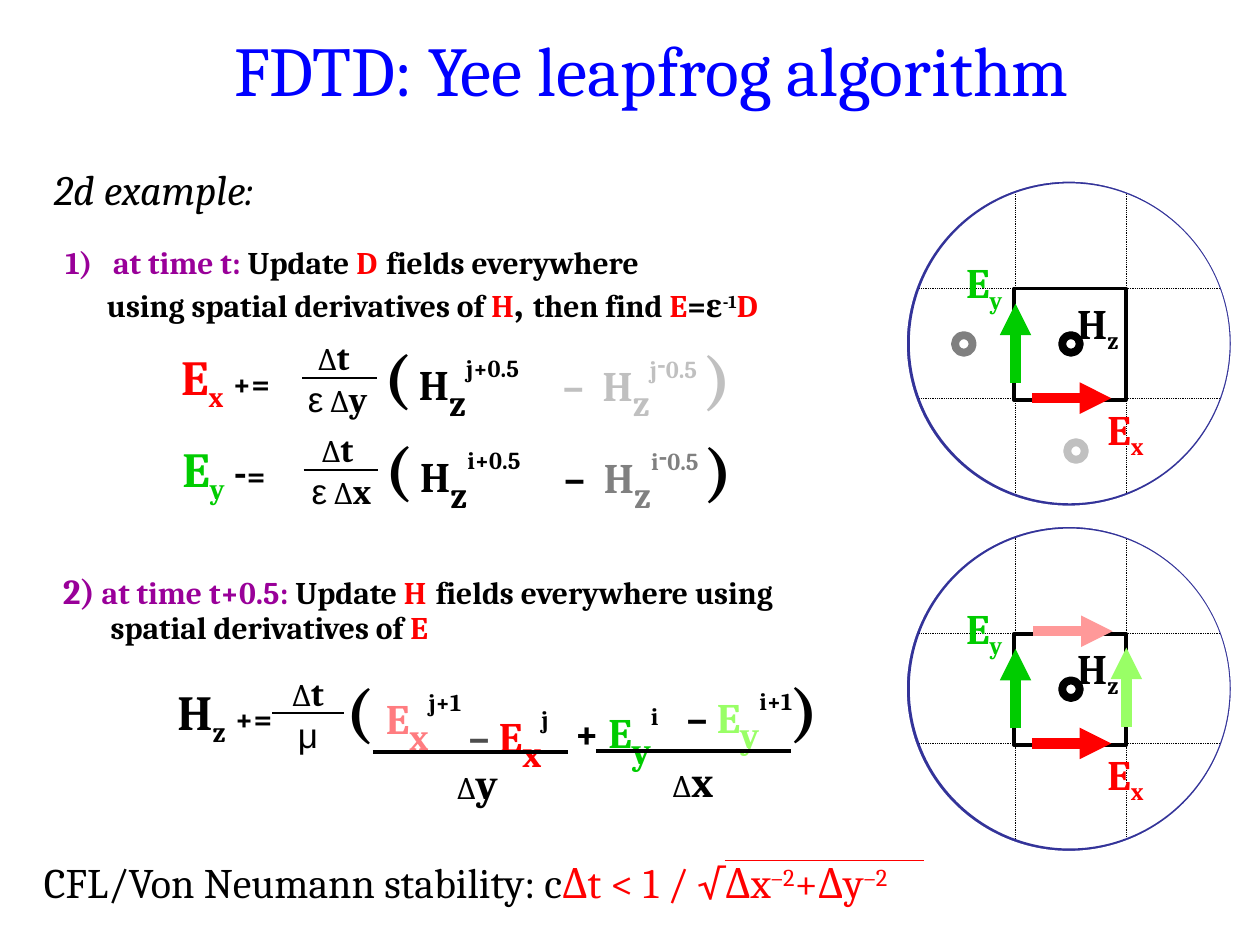
from lxml.etree import SubElement
from pptx import Presentation
from pptx.dml.color import RGBColor
from pptx.enum.dml import MSO_LINE
from pptx.enum.shapes import MSO_CONNECTOR, MSO_SHAPE
from pptx.enum.text import MSO_ANCHOR, MSO_AUTO_SIZE, PP_ALIGN
from pptx.oxml.ns import qn
from pptx.oxml.xmlchemy import OxmlElement
from pptx.util import Inches, Pt

BLACK, RED, GREEN, PURPLE = "000000", "FF0000", "00CC00", "990099"
SILVER, GRAY = "C0C0C0", "808080"
SUB, SUP, HIGH = -25, 30, 55

deck = Presentation()
deck.slide_width, deck.slide_height = Inches(10), Inches(7.5)
CELL = deck.slide_width / 100
page = deck.slides.add_slide(deck.slide_layouts[6])
color = RGBColor.from_string


def write(column, row, columns, rows, *paragraphs, bold=True, align=PP_ALIGN.LEFT, wrap=False):
    box = page.shapes.add_textbox(*(int(n * CELL) for n in (column, row, columns, rows)))
    frame = box.text_frame
    frame.word_wrap = wrap
    frame.auto_size = MSO_AUTO_SIZE.SHAPE_TO_FIT_TEXT
    for index, spans in enumerate(paragraphs):
        para = frame.add_paragraph() if index else frame.paragraphs[0]
        para.alignment = align
        base_size, base_hex = spans[0][1:3]
        para.font.name, para.font.bold = "Cambria", bold
        para.font.size = Pt(base_size)
        para.font.color.rgb = color(base_hex)
        for text, size, hex_code, *shift in spans:
            span = para.add_run()
            span.text = text
            if size != base_size:
                span.font.size = Pt(size)
            if hex_code != base_hex:
                span.font.color.rgb = color(hex_code)
            if shift:
                span._r.get_or_add_rPr().set("baseline", str(shift[0] * 1000))
    return frame


def rule(column, row, end_column, end_row, hex_code, width, dotted=False, arrow=False):
    ends = (int(n * CELL) for n in (column, row, end_column, end_row))
    line = page.shapes.add_connector(MSO_CONNECTOR.STRAIGHT, *ends)
    line.line.color.rgb = color(hex_code)
    line.line.width = Pt(width)
    if dotted:
        line.line.dash_style = MSO_LINE.ROUND_DOT
    if arrow:
        SubElement(line.line._get_or_add_ln(), qn("a:tailEnd"), type="triangle")
    SubElement(line._element.spPr, qn("a:effectLst"))


title = write(9.2, 1.7, 85, 7.5, [("FDTD: Yee leapfrog algorithm", 40, "0000FF")],
              bold=False, align=PP_ALIGN.CENTER, wrap=True)
title.auto_size = MSO_AUTO_SIZE.NONE
title.vertical_anchor = MSO_ANCHOR.MIDDLE
example = write(3.3, 12.5, 18.4, 5, [("2d example:", 24, BLACK)], bold=False)
example.paragraphs[0].font.italic = True

first_step = write(
    4.2, 18, 66.7, 8.6,
    [("at time t: ", 18, PURPLE), ("Update ", 18, BLACK), ("D", 18, RED),
     (" ", 24, BLACK), ("fields everywhere", 18, BLACK)],
    [("using spatial derivatives of ", 18, BLACK), ("H", 18, RED), (", ", 24, BLACK),
     ("then find ", 18, BLACK), ("E", 18, RED), ("=ε", 18, BLACK),
     ("-1", 18, BLACK, SUP), ("D", 18, RED)],
    wrap=True)
second_step = write(
    4, 44.8, 61, 7.1,
    [("2)", 20, PURPLE), (" at time t+0.5: ", 18, PURPLE), ("Update ", 18, BLACK),
     ("H", 18, RED), (" ", 24, BLACK),
     ("fields everywhere using spatial derivatives of ", 18, BLACK), ("E", 18, RED)],
    wrap=True)
for para, margin, indent in ((first_step.paragraphs[0], 3.8, -3.8),
                             (first_step.paragraphs[1], 3.3, 0),
                             (second_step.paragraphs[0], 3.8, -3.8)):
    properties = para._p.get_or_add_pPr()
    properties.set("marL", str(int(margin * CELL)))
    properties.set("indent", str(int(indent * CELL)))
number = OxmlElement("a:buAutoNum")
number.set("type", "arabicParenR")
first_step.paragraphs[0]._p.pPr.insert(0, number)
first_step.paragraphs[1].line_spacing = 0.85
second_step.paragraphs[0].line_spacing = 0.85

updates = [
    (27, 0, "x", RED, [(" ", 24, BLACK), ("+=", 18, BLACK)], "j", SILVER, SILVER),
    (34.3, 0.1, "y", GREEN, [(" -", 24, BLACK), ("=", 18, BLACK)], "i", GRAY, BLACK),
]
for row, nudge, axis, field_hex, operator, index, old_hex, sign_hex in updates:
    write(13.4 + nudge, row, 9.6, 5.7,
          [("E", 28, field_hex), (axis, 28, field_hex, SUB), *operator])
    write(29.5 + nudge, row - 0.7, 13.4, 7,
          [("(", 36, BLACK), (" H", 24, BLACK), ("z", 36, BLACK, SUB),
           (f"{index}+0.5", 24, BLACK, HIGH)])
    difference = write(
        43.7 + nudge, row - 0.65, 16.3, 7,
        [("–\t", 24, sign_hex), ("H", 24, old_hex),
         ("z", 36, old_hex, SUB), (index, 24, old_hex, HIGH), ("-", 28, old_hex, HIGH),
         ("0.5", 24, old_hex, HIGH), (" ", 36, old_hex, SUB), (")", 36, sign_hex)])
    tabs = OxmlElement("a:tabLst")
    SubElement(tabs, qn("a:tab"), pos=str(int(3.15 * CELL)), algn="l")
    difference.paragraphs[0]._p.pPr.insert(0, tabs)

write(13.1, 53.6, 10.5, 5.7,
      [("H", 28, BLACK), ("z", 28, BLACK, SUB), (" ", 24, BLACK), ("+=", 18, BLACK)])
curl_terms = [
    (26.5, 52.8, 11.9, 7, "( ", 36, BLACK, "FF7C80", "x", "j+1", ""),
    (36.2, 54.2, 9.1, 5, "– ", 24, "4D4D4D", RED, "x", "j", ""),
    (44.6, 53.9, 9.3, 5, "+ ", 24, BLACK, GREEN, "y", "i", ""),
    (53.5, 52.7, 13.1, 7, "– ", 24, BLACK, "99FF66", "y", "i+1", ")"),
]
for column, row, columns, rows, sign, size, sign_hex, field_hex, axis, index, close in curl_terms:
    spans = [(sign, size, sign_hex), ("E", 24, field_hex),
             (axis, 36, field_hex, SUB), (index, 24, BLACK, HIGH)]
    if close:
        spans.append((close, 36, BLACK))
    write(column, row, columns, rows, spans)

fractions = [(23.4, 26.1, 6.8, 24, 30, 5.9, "ε", "y "),
             (23.7, 33.4, 6.8, 24.1, 37.3, 5.9, "ε", "x"),
             (22.2, 52.8, 4.5, 21.6, 56.6, 5.7, "μ", "")]
for column, row, columns, bar_column, bar_row, bar_columns, constant, step in fractions:
    below = [(constant, 20, BLACK)]
    if step:
        below += [(" ∆", 18, BLACK), (step, 20, BLACK)]
    frame = write(column, row, columns, 7.7, [("∆", 18, BLACK), ("t ", 20, BLACK)], below,
                  bold=False, align=PP_ALIGN.CENTER)
    frame.paragraphs[0].runs[1].font.bold = True
    frame.paragraphs[1].runs[0].font.name = "Arial"
    if step:
        frame.paragraphs[1].runs[2].font.bold = True
    rule(bar_column, bar_row, bar_column + bar_columns, bar_row, BLACK, 1.5)

for column, row, label_column, step in ((29.6, 59.7, 35.3, "y"), (47.3, 59.6, 52.4, "x")):
    rule(column, row, column + 15.5, row, BLACK, 2.25)
    frame = write(label_column, row - 0.1, 6, 5, [("∆", 18, BLACK), (step, 24, BLACK)],
                  bold=False)
    frame.paragraphs[0].runs[1].font.bold = True

neighbours = [(75.8, 26.6, 1.4, GRAY), (84.7, 35.1, 1.4, SILVER)]
for top, dots in ((14, neighbours), (41.4, [])):
    for column in (80.6, 89.4):
        rule(column, top + 0.7, column, top + 25.8, BLACK, 0.5, dotted=True)
    for row in (8.9, 17.6):
        rule(72.1, top + row, 97.5, top + row, BLACK, 0.5, dotted=True)
    outlines = [(MSO_SHAPE.OVAL, column, row, size, hex_code, 4.5)
                for column, row, size, hex_code in dots]
    outlines += [(MSO_SHAPE.OVAL, 84.3, top + 12.6, 1.4, BLACK, 4.5),
                 (MSO_SHAPE.OVAL, 72.05, top + 0.4, 25.7, "333399", 2.25),
                 (MSO_SHAPE.OVAL, 71.55, top, 26.55, "FFFFFF", 6),
                 (MSO_SHAPE.RECTANGLE, 80.5, top + 8.9, 8.85, BLACK, 2.25)]
    for kind, column, row, size, hex_code, width in outlines:
        shape = page.shapes.add_shape(kind, *(int(n * CELL) for n in (column, row, size, size)))
        shape.shadow.inherit = False
        shape.fill.background()
        shape.line.color.rgb = color(hex_code)
        shape.line.width = Pt(width)
    rule(81.9, top + 17.6, 88.2, top + 17.6, RED, 6, arrow=True)
    rule(80.6, top + 16.4, 80.6, top + 10.1, GREEN, 6, arrow=True)
    for column, row, letter, axis, hex_code in ((84.5, 9.1, "H", "z", BLACK),
                                                (86.9, 17.5, "E", "x", RED),
                                                (75.7, 5.9, "E", "y", GREEN)):
        write(column, top + row, 5.4, 5, [(letter, 24, hex_code), (axis, 24, hex_code, SUB)])

rule(82, 50.1, 88.3, 50.1, "FF9999", 6, arrow=True)
rule(89.4, 57.7, 89.4, 51.4, "99FF66", 6, arrow=True)

write(2.5, 67.5, 70.7, 5.1,
      [("CFL/Von Neumann stability: c", 24, BLACK), ("Δt < 1 / √Δx", 24, RED),
       ("–2", 24, RED, SUP), ("+Δy", 24, RED), ("–2", 24, RED, SUP)], bold=False)
rule(57.5, 68.3, 73.3, 68.3, RED, 0.75)

deck.save("out.pptx")
